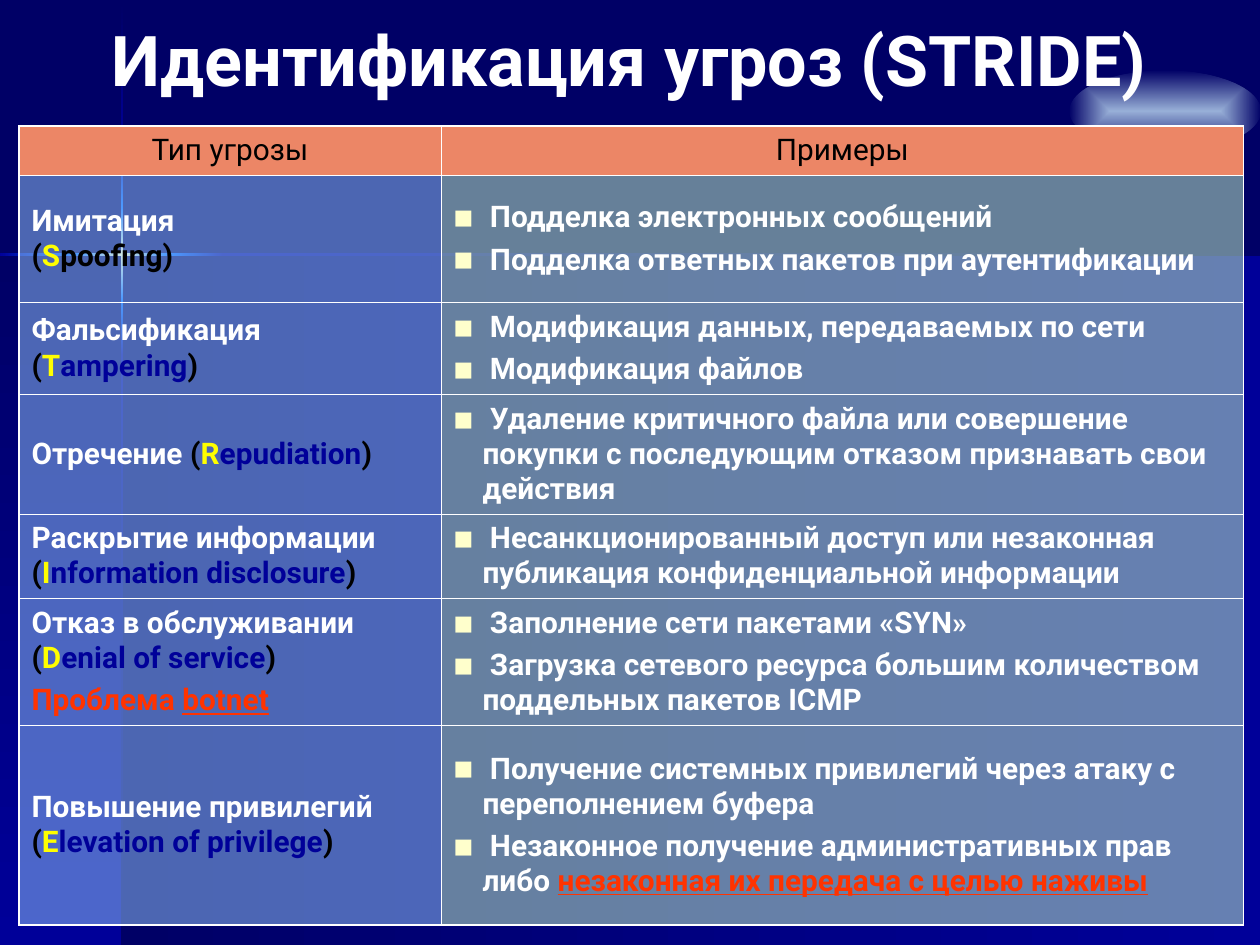
from dataclasses import dataclass

from pptx import Presentation
from pptx import util as u
from pptx.dml.color import RGBColor
from pptx.enum import shapes, text
from pptx.oxml import parse_xml
from pptx.oxml.ns import nsdecls, qn


@dataclass(frozen=True)
class Theme:
    font: str = "Roboto"
    title_size: float = 40
    body_size: float = 17
    navy: str = "000066"
    blue: str = "000099"
    bright: str = "0066FF"
    cream: str = "FFFFCC"
    glow: str = "CCECFF"
    white: str = "FFFFFF"
    black: str = "000000"
    yellow: str = "FFFF00"
    red: str = "FF3300"
    header: str = "EC8666"
    threat: str = "99CCFF"
    example: str = "CCFFCC"
    outer_line: float = 1.08
    inner_line: float = 0.45


THEME = Theme()
WIDTH, HEIGHT = 10, 7.5
COLUMNS = [3.35, 6.37]
ROWS = [0.39, 1.01, 0.73, 0.95, 0.67, 1.01, 1.58]
BULLET_INDENT = 0.23

# Russian name, highlighted letter, rest of the English term, its colour, examples
THREATS = [
    ("Имитация \n", "S", "poofing", THEME.black,
     ["Подделка электронных сообщений", "Подделка ответных пакетов при аутентификации"]),
    ("Фальсификация ", "T", "ampering", THEME.blue,
     ["Модификация данных, передаваемых по сети", "Модификация файлов"]),
    ("Отречение ", "R", "epudiation", THEME.blue,
     ["Удаление критичного файла или совершение покупки с последующим отказом "
      "признавать свои действия"]),
    ("Раскрытие информации ", "I", "nformation disclosure", THEME.blue,
     ["Несанкционированный доступ или незаконная публикация конфиденциальной информации"]),
    ("Отказ в обслуживании ", "D", "enial of service", THEME.blue,
     ["Заполнение сети пакетами «SYN»",
      "Загрузка сетевого ресурса большим количеством поддельных пакетов ICMP"]),
    ("Повышение привилегий \n", "E", "levation of privilege", THEME.blue,
     ["Получение системных привилегий через атаку с переполнением буфера",
      "Незаконное получение административных прав либо "]),
]


def write(paragraph, words, size=THEME.body_size, color=THEME.white, bold=True, underline=False):
    """Append formatted text; a newline becomes a line break."""
    for index, line in enumerate(words.split("\n")):
        if index:
            paragraph.add_line_break()
        if line:
            run = paragraph.add_run()
            run.text = line
            font = run.font
            font.name, font.size, font.bold = THEME.font, u.Pt(size), bold
            font.underline = underline
            font.color.rgb = RGBColor.from_string(color)


def add_gradient_shape(slide, kind, box, colors, direction, alphas=None):
    """Draw a borderless shape with evenly spaced gradient stops."""
    shape = slide.shapes.add_shape(kind, *(u.Inches(length) for length in box))
    shape.shadow.inherit = False
    shape.line.fill.background()
    shape.fill.gradient()
    alphas = alphas or [100] * len(colors)
    step = 100000 // (len(colors) - 1)
    stops = "".join(
        f'<a:gs pos="{index * step}"><a:srgbClr val="{color}">'
        f'<a:alpha val="{alpha * 1000}"/></a:srgbClr></a:gs>'
        for index, (color, alpha) in enumerate(zip(colors, alphas)))
    gradient = shape.element.spPr.find(qn("a:gradFill"))
    gradient.getparent().replace(gradient, parse_xml(
        f'<a:gradFill {nsdecls("a")} rotWithShape="1"><a:gsLst>{stops}</a:gsLst>'
        f'{direction}</a:gradFill>'))


def add_background(slide):
    slide.background.fill.solid()
    slide.background.fill.fore_color.rgb = RGBColor.from_string(THEME.navy)
    across, down = ('<a:lin ang="0" scaled="0"/>', '<a:lin ang="5400000" scaled="0"/>')
    dark, fade = [THEME.navy, THEME.blue], [THEME.bright, THEME.blue]
    flare = [THEME.bright, THEME.cream, THEME.bright]
    cross_x, cross_y, thick = 0.96, 2.01, 0.02
    panels = [
        ((0.97, 2.02, WIDTH - 0.97, HEIGHT - 2.02), dark, across),
        ((0, 2.02, 0.97, HEIGHT - 2.02), dark, down),
    ]
    vertical = [(0.01, 1.20, dark), (2.82, 4.68, dark[::-1]), (2.38, 0.44, fade),
                (1.21, 0.44, fade[::-1]), (1.65, 0.73, flare)]
    horizontal = [(1.77, 8.23, dark[::-1]), (0, 0.61, fade[::-1]),
                  (1.33, 0.44, fade), (0.60, 0.73, flare)]
    panels += [((cross_x, top, thick, length), colors, down) for top, length, colors in vertical]
    panels += [((left, cross_y, length, thick), colors, across)
               for left, length, colors in horizontal]
    for box, colors, direction in panels:
        add_gradient_shape(slide, shapes.MSO_SHAPE.RECTANGLE, box, colors, direction)
    center = ('<a:path path="rect"><a:fillToRect l="50000" t="50000" r="50000" b="50000"/>'
              '</a:path>')
    add_gradient_shape(slide, shapes.MSO_SHAPE.OVAL, (8.49, 0.56, 1.51, 0.64),
                       [THEME.glow] * 2, center, alphas=[75, 0])


def place_title(slide, words):
    title = slide.shapes.title
    title.left, title.top = u.Inches(0.14), u.Inches(0.14)
    title.width, title.height = u.Inches(9.7), u.Inches(0.78)
    title.element.getparent().append(title.element)
    frame = title.text_frame
    frame.auto_size = text.MSO_AUTO_SIZE.NONE
    frame.vertical_anchor = text.MSO_ANCHOR.MIDDLE
    paragraph = frame.paragraphs[0]
    paragraph.alignment = text.PP_ALIGN.CENTER
    paragraph.line_spacing = 0.8
    write(paragraph, words, size=THEME.title_size)


def format_cell(cell, color, row, column, alpha=100):
    cell.vertical_anchor = text.MSO_ANCHOR.MIDDLE
    cell.fill.solid()
    cell.fill.fore_color.rgb = RGBColor.from_string(color)
    properties = cell._tc.get_or_add_tcPr()
    properties.find(".//" + qn("a:srgbClr")).append(
        parse_xml(f'<a:alpha {nsdecls("a")} val="{alpha * 1000}"/>'))
    outer = {"L": column == 0, "R": column == len(COLUMNS) - 1,
             "T": row == 0, "B": row == len(ROWS) - 1}
    for index, (side, is_outer) in enumerate(outer.items()):
        width = u.Pt(THEME.outer_line if is_outer else THEME.inner_line)
        properties.insert(index, parse_xml(
            f'<a:ln{side} {nsdecls("a")} w="{width}"><a:solidFill>'
            f'<a:srgbClr val="{THEME.white}"/></a:solidFill></a:ln{side}>'))


def next_paragraph(cell, first, bullet=False):
    frame = cell.text_frame
    paragraph = frame.paragraphs[0] if first else frame.add_paragraph()
    paragraph.space_before = u.Pt(4.2)
    if bullet:
        properties = paragraph._p.get_or_add_pPr()
        indent = u.Inches(BULLET_INDENT)
        properties.set("marL", str(indent))
        properties.set("indent", str(-indent))
        for tag in (f'buClr {nsdecls("a")}><a:srgbClr val="{THEME.cream}"/></a:buClr>',
                    f'buSzPct {nsdecls("a")} val="70000"/>',
                    f'buFont {nsdecls("a")} typeface="{THEME.font}"/>',
                    f'buChar {nsdecls("a")} char="■"/>'):
            properties.append(parse_xml("<a:" + tag))
    return paragraph


def add_threat_table(slide):
    frame = slide.shapes.add_table(len(ROWS), len(COLUMNS), u.Inches(0.15), u.Inches(1),
                                   u.Inches(sum(COLUMNS)), u.Inches(sum(ROWS)))
    table = frame.table
    table.first_row = table.horz_banding = False
    for column, width in zip(table.columns, COLUMNS):
        column.width = u.Inches(width)
    for row, height in zip(table.rows, ROWS):
        row.height = u.Inches(height)

    for column, heading in enumerate(["Тип угрозы", "Примеры"]):
        cell = table.cell(0, column)
        format_cell(cell, THEME.header, 0, column)
        paragraph = next_paragraph(cell, True)
        paragraph.alignment = text.PP_ALIGN.CENTER
        write(paragraph, heading, color=THEME.black, bold=False)

    for row, (name, letter, rest, rest_color, examples) in enumerate(THREATS, start=1):
        threat, example = table.cell(row, 0), table.cell(row, 1)
        format_cell(threat, THEME.threat, row, 0, alpha=50)
        format_cell(example, THEME.example, row, 1, alpha=50)
        paragraph = next_paragraph(threat, True)
        for words, color in [(name, THEME.white), ("(", THEME.black), (letter, THEME.yellow),
                             (rest, rest_color), (")", THEME.black)]:
            write(paragraph, words, color=color)
        if letter == "D":
            paragraph = next_paragraph(threat, False)
            write(paragraph, "Проблема ", color=THEME.red)
            write(paragraph, "botnet", color=THEME.red, underline=True)
        for index, words in enumerate(examples):
            paragraph = next_paragraph(example, index == 0, bullet=True)
            write(paragraph, " " + words)
        if letter == "E":
            write(paragraph, "незаконная их передача с целью наживы",
                  color=THEME.red, underline=True)


def main():
    presentation = Presentation()
    presentation.slide_width, presentation.slide_height = u.Inches(WIDTH), u.Inches(HEIGHT)
    slide = presentation.slides.add_slide(presentation.slide_layouts[5])
    add_background(slide)
    place_title(slide, "Идентификация угроз (STRIDE)")
    add_threat_table(slide)
    presentation.save("out.pptx")


if __name__ == "__main__":
    main()
